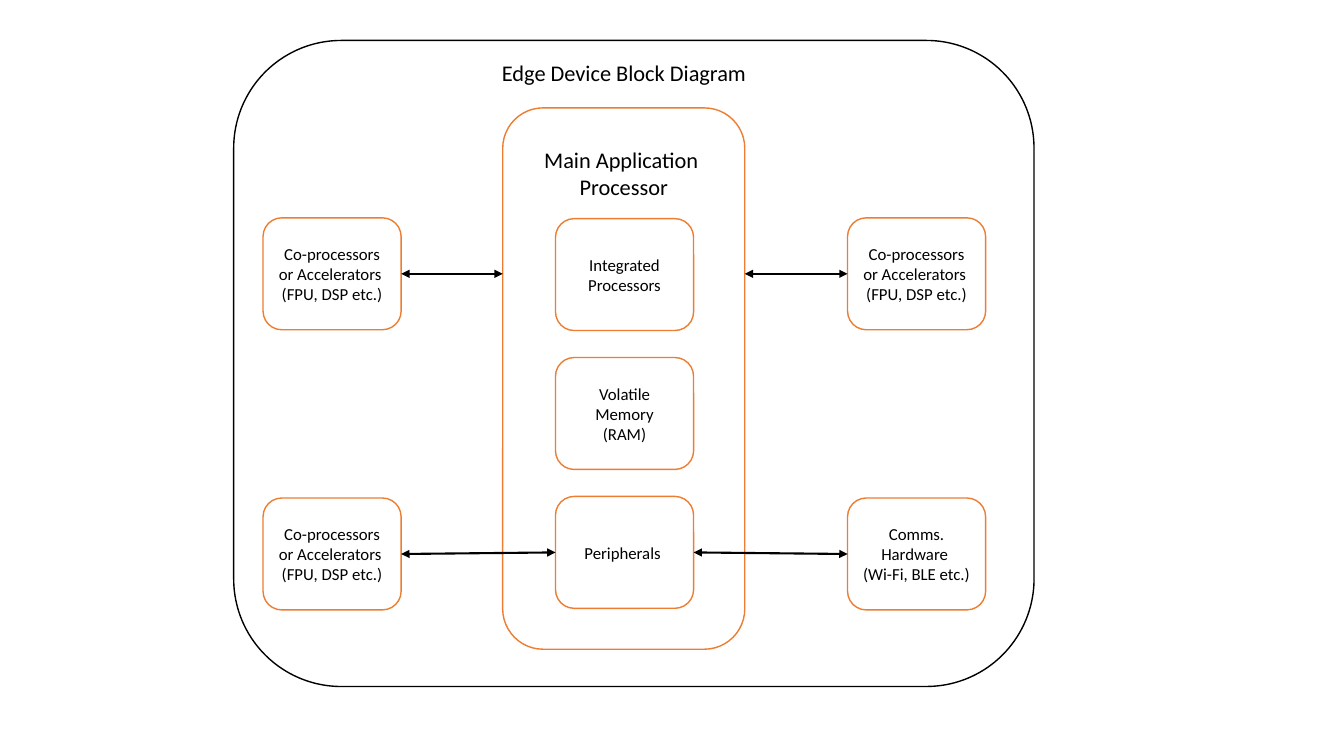
from lxml.etree import SubElement
from pptx import Presentation
from pptx.dml.color import RGBColor
from pptx.enum.shapes import MSO_CONNECTOR as Link, MSO_SHAPE as Shape
from pptx.enum.text import MSO_ANCHOR as Anchor, MSO_AUTO_SIZE as Fit, PP_ALIGN as Align
from pptx.oxml.ns import qn
from pptx.util import Cm, Pt

BLACK, WHITE, ORANGE = "000000", "FFFFFF", "ED7D31"
WIDE, HIGH = 3.48, 2.82
LEFT, MID, RIGHT = 6.63, 14, 21.36
TOP, LOW = 5.49, 12.55


def frame(x, y, w, h, edge):
    box = slide.shapes.add_shape(Shape.ROUNDED_RECTANGLE, Cm(x), Cm(y), Cm(w), Cm(h))
    box.shadow.inherit = False
    box.line.color.rgb = RGBColor.from_string(edge)
    box.line.width = Pt(1)
    box.fill.background()
    return box


def write(shape, text, size):
    body = shape.text_frame
    body.word_wrap = True
    body.text = text
    for para in body.paragraphs:
        para.alignment = Align.CENTER
        para.font.name = "Calibri"
        para.font.size = Pt(size)
        para.font.color.rgb = RGBColor.from_string(BLACK)


deck = Presentation()
deck.slide_width, deck.slide_height = Cm(33.87), Cm(19.05)
slide = deck.slides.add_slide(deck.slide_layouts[6])

main = frame(12.67, 2.72, 6.1, 13.64, ORANGE)
main.fill.solid()
main.fill.fore_color.rgb = RGBColor.from_string(WHITE)

helper = "Co-processors or Accelerators \n(FPU, DSP etc.)"
boxes = []
for x, y, text in [
    (LEFT, TOP, helper),
    (LEFT, LOW, helper),
    (RIGHT, TOP, helper),
    (RIGHT, LOW, "Comms. Hardware \n(Wi-Fi, BLE etc.)"),
    (MID, 5.51, "Integrated Processors"),
    (MID, 9.01, "Volatile Memory\n(RAM)"),
    (MID, 12.51, "Peripherals "),
]:
    box = frame(x, y, WIDE, HIGH, ORANGE)
    box.fill.solid()
    box.fill.fore_color.rgb = RGBColor.from_string(WHITE)
    box.text_frame.vertical_anchor = Anchor.MIDDLE
    write(box, text, 12)
    boxes.append(box)

ports = boxes[6]
for box, side, end, goal in [
    (boxes[0], 3, main.left, None),
    (boxes[1], 3, ports.left, 1),
    (boxes[2], 1, main.left + main.width, None),
    (boxes[3], 1, ports.left + ports.width, 3),
]:
    y = box.top + box.height // 2
    arrow = slide.shapes.add_connector(Link.STRAIGHT, box.left, y, end, y)
    arrow.begin_connect(box, side)
    if goal is not None:
        arrow.end_connect(ports, goal)
    arrow.line.color.rgb = RGBColor.from_string(BLACK)
    arrow.line.width = Pt(1.5)
    line = arrow.line._get_or_add_ln()
    for tip in ("a:headEnd", "a:tailEnd"):
        SubElement(line, qn(tip), type="triangle")
    SubElement(arrow._element.spPr, qn("a:effectLst"))

frame(5.89, 1.02, 20.17, 16.28, BLACK)

for x, y, w, h, text in [
    (12.67, 3.56, 6.1, 1.63, "Main Application \nProcessor"),
    (11, 1.37, 9.45, 0.94, "Edge Device Block Diagram"),
]:
    label = slide.shapes.add_textbox(Cm(x), Cm(y), Cm(w), Cm(h))
    write(label, text, 16)
    label.text_frame.auto_size = Fit.SHAPE_TO_FIT_TEXT

deck.save("out.pptx")
